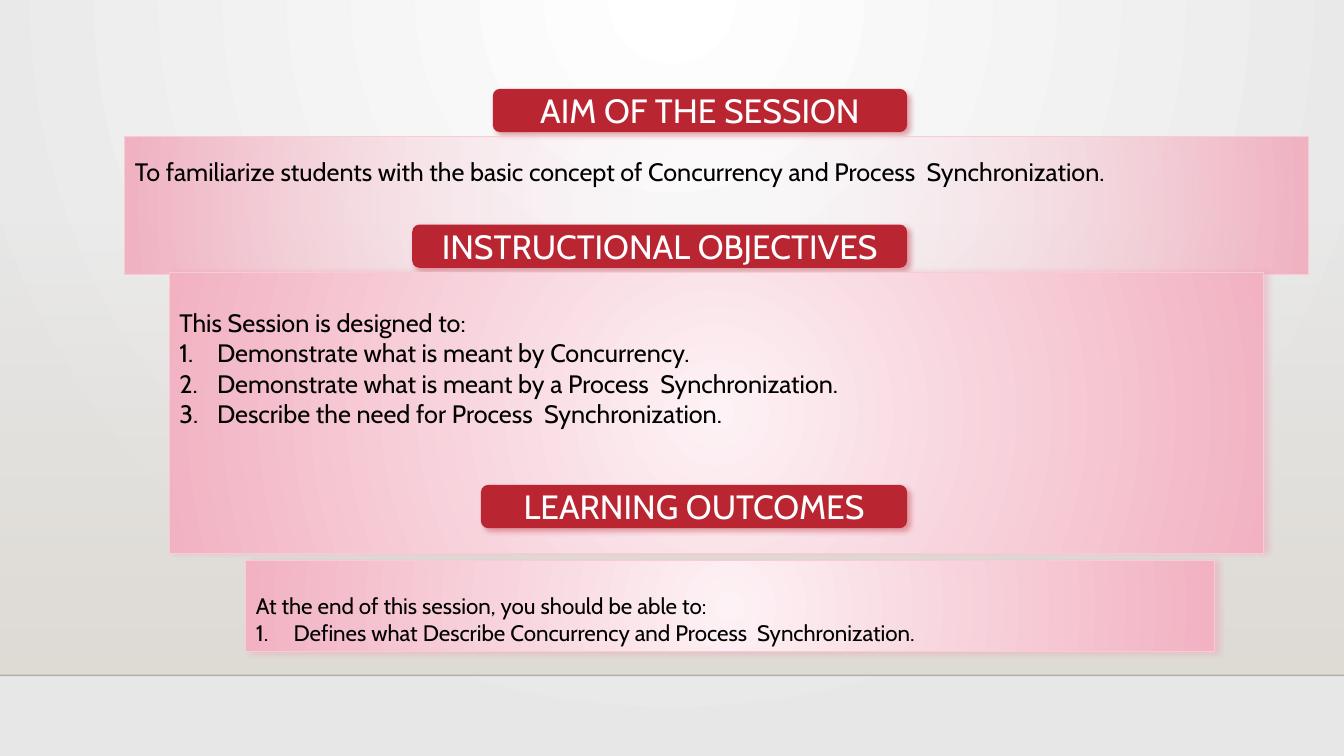
import pptx
import pptx.util
import pptx.oxml
import pptx.oxml.ns
from pptx.dml.color import RGBColor
from pptx.enum.shapes import MSO_CONNECTOR, MSO_SHAPE
from pptx.enum.text import MSO_ANCHOR, PP_ALIGN
from pptx.util import Cm

WHITE = RGBColor(0xFF, 0xFF, 0xFF)
BLACK = RGBColor(0x00, 0x00, 0x00)
LIGHT_GREY = RGBColor(0xE7, 0xE7, 0xE7)
SAND = RGBColor(0xDF, 0xDB, 0xD5)
RULE_BLACK = RGBColor(0x00, 0x00, 0x01)
RED = RGBColor(0xBA, 0x25, 0x32)
PALE_PINK = RGBColor(0xFD, 0xF2, 0xF5)
PINK = RGBColor(0xF2, 0xB2, 0xC2)
PINK_BORDER = RGBColor(0xF7, 0xCC, 0xD6)
PINK_SHADOW = RGBColor(0xEE, 0x99, 0xAD)

SLIDE_WIDTH, SLIDE_HEIGHT = 33.87, 19.05
HEADING_RIGHT, HEADING_HEIGHT = 22.86, 1.09
NUMBER_INDENT = 0.95
LINEAR_DOWN = '<a:lin ang="5400000" scaled="0"/>'


def xml(tag, content="", attributes=""):
    namespace = pptx.oxml.ns.nsdecls("a")
    return pptx.oxml.parse_xml(f"<a:{tag} {namespace} {attributes}>{content}</a:{tag}>")


def color_xml(color, alpha=100):
    return f'<a:srgbClr val="{color}"><a:alpha val="{alpha * 1000}"/></a:srgbClr>'


def circle_from(left, top, right, bottom):
    return (f'<a:path path="circle"><a:fillToRect l="{left}000" t="{top}000" '
            f'r="{right}000" b="{bottom}000"/></a:path>')


def set_gradient(fill, properties, start, end, direction, start_alpha=100):
    fill.solid()
    stops = (f'<a:gs pos="0">{color_xml(start, start_alpha)}</a:gs>'
             f'<a:gs pos="100000">{color_xml(end)}</a:gs>')
    solid = properties().find(pptx.oxml.ns.qn("a:solidFill"))
    gradient = xml("gradFill", f"<a:gsLst>{stops}</a:gsLst>{direction}", 'rotWithShape="1"')
    properties().replace(solid, gradient)


def set_shadow(shape, color, angle):
    effects = shape._element.spPr.find(pptx.oxml.ns.qn("a:effectLst"))
    distance = pptx.util.Pt(3)
    effects.append(xml("outerShdw", color_xml(color, 40),
                       f'blurRad="{pptx.util.Pt(4)}" dist="{distance}" '
                       f'dir="{angle * 60000}" algn="tl" rotWithShape="0"'))


def write_text(paragraph, text, size, color, font="Cabin", align=PP_ALIGN.LEFT,
               spacing=1.0, numbered=False):
    paragraph.alignment = align
    paragraph.line_spacing = spacing
    if numbered:
        properties = paragraph._p.get_or_add_pPr()
        properties.set("marL", str(Cm(NUMBER_INDENT)))
        properties.set("indent", str(-Cm(NUMBER_INDENT)))
        properties.append(xml("buFont", attributes='typeface="+mj-lt"'))
        properties.append(xml("buAutoNum", attributes='type="arabicPeriod"'))
    run = paragraph.add_run()
    run.text = text
    run.font.name = font
    run.font.size = pptx.util.Pt(size)
    run.font.color.rgb = color


class SessionSlide:
    def __init__(self, presentation):
        self.slide = presentation.slides.add_slide(presentation.slide_layouts[6])

    def background(self):
        set_gradient(self.slide.background.fill,
                     lambda: next(self.slide._element.iter(pptx.oxml.ns.qn("p:bgPr"))),
                     WHITE, LIGHT_GREY, circle_from(43, 0, 43, 100))

    def shape(self, kind, left, top, width, height):
        shape = self.slide.shapes.add_shape(kind, Cm(left), Cm(top), Cm(width), Cm(height))
        shape.shadow.inherit = False
        shape.line.fill.background()
        return shape

    def floor(self, top, height):
        band = self.shape(MSO_SHAPE.RECTANGLE, 0, top, SLIDE_WIDTH, height)
        set_gradient(band.fill, lambda: band._element.spPr, SAND, SAND, LINEAR_DOWN, 0)
        bottom = Cm(top + height)
        edge = self.slide.shapes.add_connector(
            MSO_CONNECTOR.STRAIGHT, 0, bottom, Cm(SLIDE_WIDTH), bottom)
        edge.line.width = pptx.util.Pt(1)
        edge.line.color.rgb = RULE_BLACK
        color = next(edge._element.spPr.iter(pptx.oxml.ns.qn("a:srgbClr")))
        color.append(xml("alpha", attributes='val="20000"'))
        edge._element.spPr.append(xml("effectLst"))

    def heading(self, text, top, width):
        shape = self.shape(MSO_SHAPE.ROUNDED_RECTANGLE, HEADING_RIGHT - width, top,
                           width, HEADING_HEIGHT)
        shape.fill.solid()
        shape.fill.fore_color.rgb = RED
        set_shadow(shape, RED, 45)
        frame = shape.text_frame
        frame.word_wrap = True
        frame.vertical_anchor = MSO_ANCHOR.MIDDLE
        write_text(frame.paragraphs[0], text, 24, WHITE, align=PP_ALIGN.CENTER)

    def panel(self, box, intro, items=(), size=18, spacing=2.0, center_alpha=100, shadow=True):
        shape = self.shape(MSO_SHAPE.RECTANGLE, *box)
        set_gradient(shape.fill, lambda: shape._element.spPr, PALE_PINK, PINK,
                     circle_from(50, 50, 50, 50), center_alpha)
        shape.line.color.rgb = PINK_BORDER
        shape.line.width = pptx.util.Pt(0.75)
        if shadow:
            set_shadow(shape, PINK_SHADOW, 0)
        frame = shape.text_frame
        frame.word_wrap = True
        frame.vertical_anchor = MSO_ANCHOR.TOP
        write_text(frame.paragraphs[0], intro, size, BLACK, spacing=spacing)
        for item in items:
            write_text(frame.add_paragraph(), item, size, BLACK, numbered=True)


def main():
    presentation = pptx.Presentation()
    presentation.slide_width = Cm(SLIDE_WIDTH)
    presentation.slide_height = Cm(SLIDE_HEIGHT)
    session = SessionSlide(presentation)
    session.background()
    session.floor(5.61, 11.41)
    session.heading("AIM OF THE SESSION", 2.24, 10.44)
    session.panel(
        (3.15, 3.43, 29.82, 3.5),
        "To familiarize students with the basic concept of Concurrency and "
        "Process  Synchronization.",
        spacing=1.5, center_alpha=0, shadow=False)
    session.heading("INSTRUCTIONAL OBJECTIVES", 5.66, 12.47)
    session.panel(
        (4.27, 6.86, 27.58, 7.09),
        "This Session is designed to:",
        ["Demonstrate what is meant by Concurrency.",
         "Demonstrate what is meant by a Process  Synchronization.",
         "Describe the need for Process  Synchronization."])
    session.heading("LEARNING OUTCOMES", 12.22, 10.74)
    session.panel(
        (6.2, 14.12, 24.41, 2.31),
        "At the end of this session, you should be able to:",
        ["Defines what Describe Concurrency and Process  Synchronization."],
        size=16)
    presentation.save("out.pptx")


if __name__ == "__main__":
    main()
